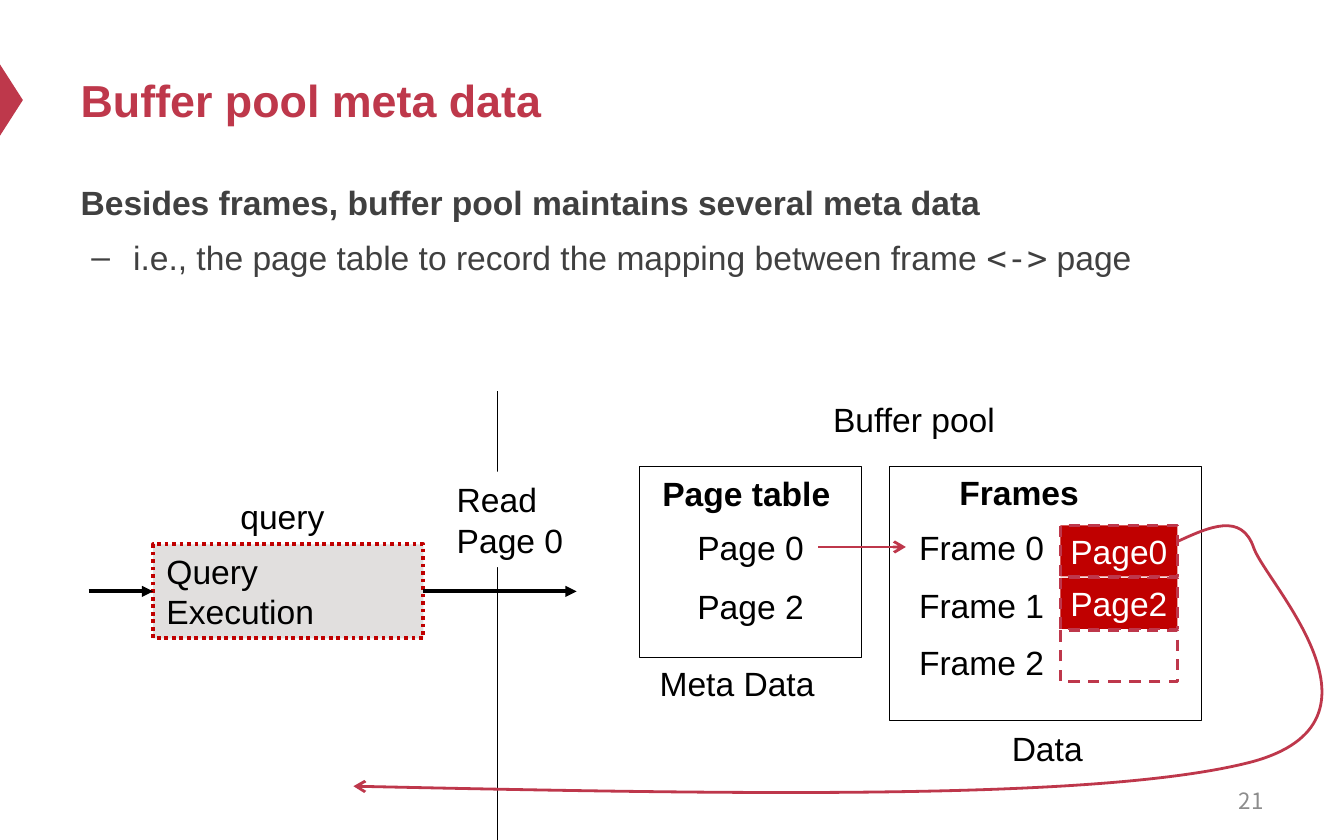
from lxml import etree
from pptx import Presentation, util as u
from pptx.dml import color
from pptx.enum import dml, shapes, text
from pptx.oxml import ns

HUES = {"red": "BE384B", "rose": "BE374B", "deep": "C00000", "ink": "000000",
        "body": "404040", "gray": "8C8C8C", "ash": "E1DFDE", "white": "FFFFFF"}
FONT = {"name": "Arial", "size": u.Pt(18), "bold": False}
LEFT, MID, RIGHT = text.PP_ALIGN.LEFT, text.PP_ALIGN.CENTER, text.PP_ALIGN.RIGHT
CORE = text.MSO_ANCHOR.MIDDLE


def rgb(hue):
    return color.RGBColor.from_string(HUES[hue])


def inch(*nums):
    return [u.Inches(n) for n in nums]


def apply(item, vals):
    for key, val in vals.items():
        setattr(item, key, val)


def add(node, tag, **attrs):
    return etree.SubElement(node, ns.qn(tag), attrs)


def write(para, words, hue="ink", **vals):
    run = para.add_run()
    run.text = words
    apply(run.font, FONT | vals)
    run.font.color.rgb = rgb(hue)


def pen(line, hue, width, dash=None, head=None):
    line.color.rgb = rgb(hue)
    apply(line, {"width": u.Pt(width), "dash_style": dash})
    if head:
        add(line._get_or_add_ln(), "a:tailEnd", type=head)


def fill(form, hue):
    if hue:
        form.fill.solid()
        form.fill.fore_color.rgb = rgb(hue)
    else:
        form.fill.background()


def rect(slide, box, hue=None, edge=None, kind=shapes.MSO_SHAPE.RECTANGLE):
    form = slide.shapes.add_shape(kind, *inch(*box))
    form.shadow.inherit = False
    fill(form, hue)
    if edge:
        pen(form.line, *edge)
    else:
        form.line.fill.background()
    return form


def fit(form, words, hue="ink", align=LEFT, frame=None, **vals):
    apply(form.text_frame, {"vertical_anchor": CORE} | (frame or {}))
    for i, row in enumerate(words.split("\n")):
        para = form.text_frame.add_paragraph() if i else form.text_frame.paragraphs[0]
        para.alignment = align
        write(para, row, hue, **vals)


def label(slide, words, x, y, wide, **vals):
    form = slide.shapes.add_textbox(*inch(x, y, wide, 0.4))
    frame = {"word_wrap": False, "auto_size": text.MSO_AUTO_SIZE.SHAPE_TO_FIT_TEXT,
             "vertical_anchor": text.MSO_ANCHOR.TOP}
    fit(form, words, frame=frame, **vals)
    return form


def wire(slide, ends, style, start=None, stop=None):
    line = slide.shapes.add_connector(shapes.MSO_CONNECTOR.STRAIGHT, *inch(*ends))
    pen(line.line, *style)
    add(line._element.spPr, "a:effectLst")
    if start:
        line.begin_connect(start, 3)
    if stop:
        line.end_connect(stop, 1)


def curve(slide, spots, style):
    spots = [inch(*spot) for spot in spots]
    maker = slide.shapes.build_freeform(*spots[0])
    maker.add_line_segments(spots[1:], close=False)
    form = maker.convert_to_shape()
    form.shadow.inherit = False
    form.fill.background()
    pen(form.line, *style)
    track = form._element.find(".//" + ns.qn("a:path"))
    steps = track.findall(ns.qn("a:lnTo"))
    for i in range(0, len(steps), 3):
        bend = add(track, "a:cubicBezTo")
        for step in steps[i:i + 3]:
            bend.append(step[0])
            track.remove(step)


def place(form, box):
    apply(form, dict(zip(("left", "top", "width", "height"), inch(*box))))
    form.text_frame.auto_size = text.MSO_AUTO_SIZE.NONE


def bullet(para, mark, left=0, hang=0):
    props = para._p.get_or_add_pPr()
    props.set("marL", str(u.Inches(left)))
    props.set("indent", str(u.Inches(hang)))
    if mark:
        add(props, "a:buFont", typeface="Arial")
        add(props, "a:buChar", char=mark)
    else:
        add(props, "a:buNone")
    para.line_spacing = 1.2


def heads(slide):
    flag = rect(slide, (-0.18, 0.66, 0.53, 0.17), "red",
                kind=shapes.MSO_SHAPE.ISOSCELES_TRIANGLE)
    flag.rotation = 90
    title, body = slide.placeholders
    place(title, (0.5, 0.25, 9, 0.98))
    fit(title, "Buffer pool meta data", "red", size=u.Pt(24), bold=True)
    place(body, (0.5, 1.24, 9, 1.4))
    lead = body.text_frame.paragraphs[0]
    bullet(lead, None)
    lead.space_before = u.Pt(0)
    write(lead, "Besides frames, buffer pool maintains several meta data", "body", bold=True)
    note = body.text_frame.add_paragraph()
    note.level = 1
    bullet(note, "–", 0.39, -0.31)
    note.space_before = u.Pt(3.6)
    write(note, "i.e., the page table to record the mapping between frame ", "body")
    write(note, "<->", "body", name="DejaVu Sans Mono")
    write(note, " page", "body")


def query(slide):
    flow = ("ink", 2, None, "triangle")
    label(slide, "query", 1.69, 3.64, 0.83)
    box = rect(slide, (1.14, 4.05, 2.01, 0.7), "ash",
               ("deep", 2, dml.MSO_LINE.ROUND_DOT))
    fit(box, "Query Execution", frame={"word_wrap": True})
    wire(slide, (0.66, 4.4, 1.14, 4.4), flow, stop=box)
    wire(slide, (3.15, 4.4, 4.29, 4.4), flow, start=box)
    wire(slide, (3.7, 2.91, 3.7, 6.25), ("ink", 0.75))
    read = rect(slide, (3.3, 3.51, 1, 0.71), "white")
    fit(read, "Read\nPage 0", frame={"word_wrap": False})


def pool(slide):
    arrow = ("rose", 1.5, None, "arrow")
    for box in ((4.76, 3.47, 1.65, 1.42), (6.62, 3.47, 2.32, 1.89)):
        rect(slide, box, edge=("ink", 0.5))
    label(slide, "Buffer pool", 6.1, 2.92, 1.42)
    label(slide, "Page table", 4.83, 3.47, 1.46, bold=True)
    label(slide, "Frames", 7.04, 3.46, 1.1, bold=True)
    label(slide, "Meta Data", 4.81, 4.88, 1.37)
    label(slide, "Data", 7.43, 5.37, 0.73)
    pages = [label(slide, f"Page {n}", 5.09, y, 1) for n, y in ((0, 3.87), (2, 4.31))]
    slots = [label(slide, f"Frame {n}", 6.74, 3.87 + 0.43 * n, 1.14) for n in range(3)]
    for n, words in enumerate(("Page0", "Page2", None)):
        cell = rect(slide, (7.89, 3.91 + 0.39 * n, 0.87, 0.38), words and "deep",
                    ("rose", 1.5, dml.MSO_LINE.DASH))
        if words:
            fit(cell, words, "white", MID,
                {"word_wrap": False, "margin_left": 0, "margin_right": 0})
    wire(slide, (6.09, 4.07, 6.74, 4.07), arrow, pages[0], slots[0])
    curve(slide, ((8.76, 4.03), (9, 3.92), (9.24, 3.81), (9.33, 4.08),
                  (9.43, 4.35), (10.43, 5.37), (9.31, 5.67),
                  (8.19, 5.96), (5.41, 5.91), (2.63, 5.85)), arrow)


def main():
    deck = Presentation()
    apply(deck, {"slide_width": u.Inches(10), "slide_height": u.Inches(6.25)})
    slide = deck.slides.add_slide(deck.slide_layouts[1])
    heads(slide)
    query(slide)
    pool(slide)
    page = slide.shapes.add_textbox(*inch(7.17, 5.79, 2.33, 0.33))
    fit(page, "21", "gray", RIGHT, {"word_wrap": True},
        name="Noto Sans CJK SC", size=u.Pt(12))
    deck.save("out.pptx")


if __name__ == "__main__":
    main()
